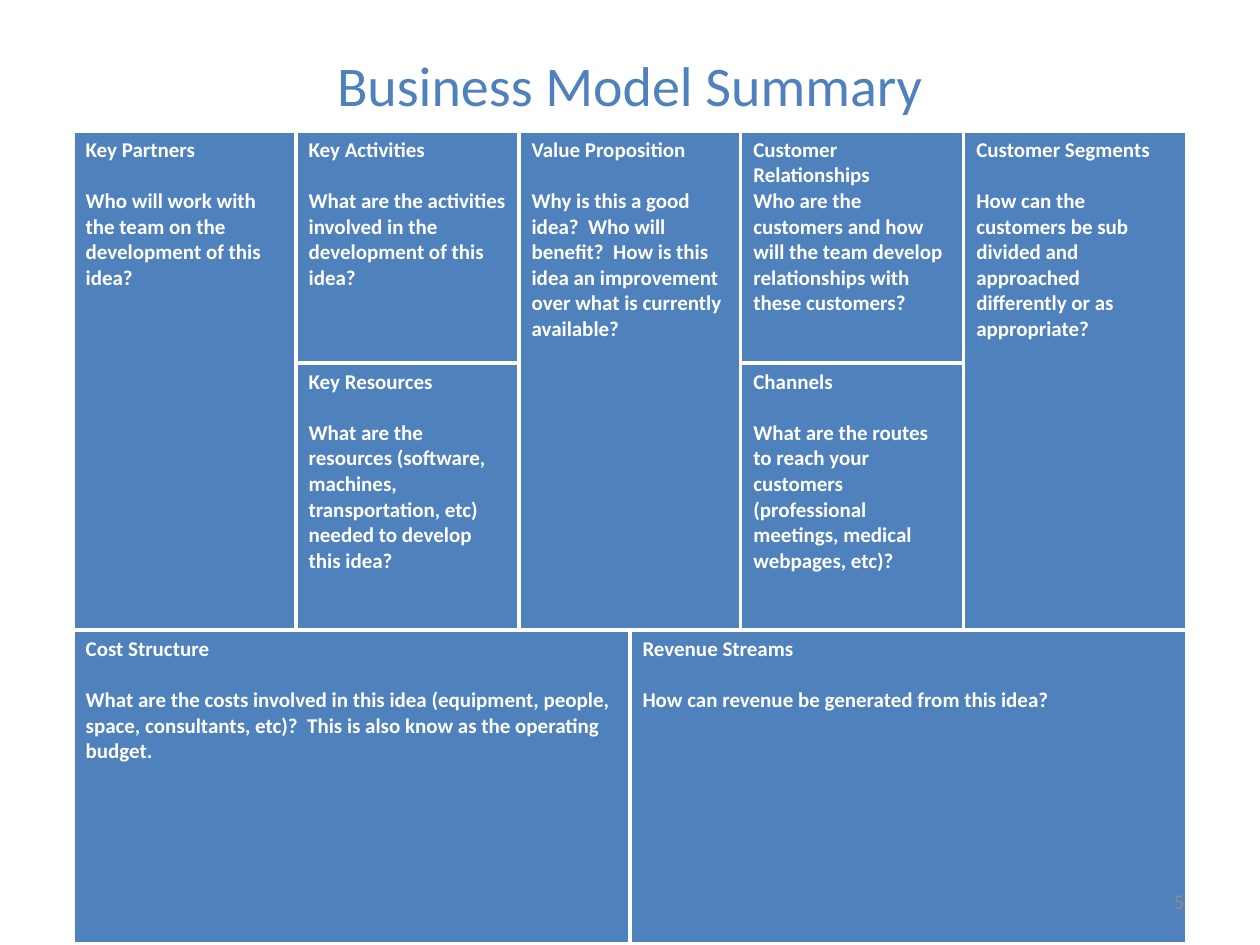
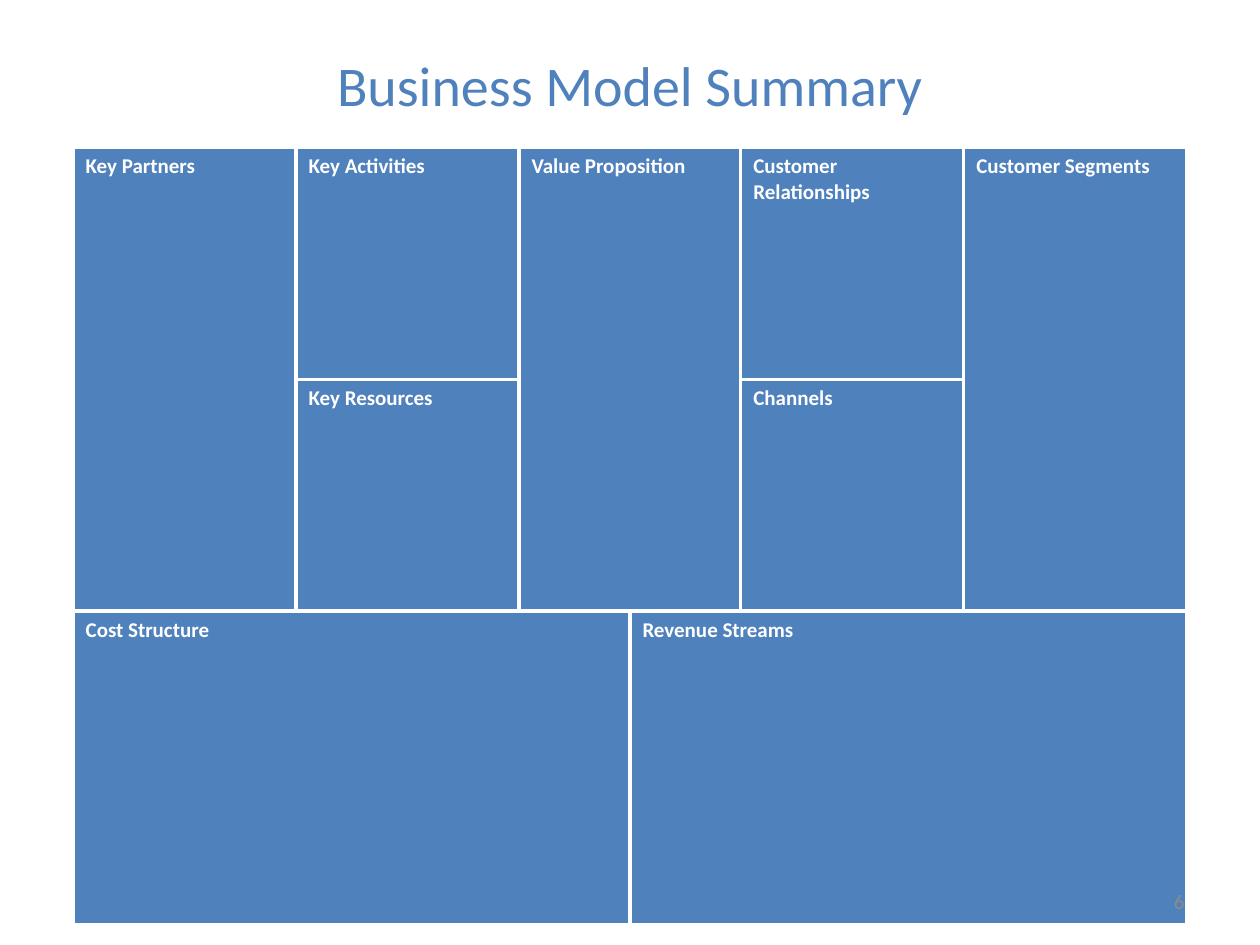
import pptx
import pptx.dml.color
import pptx.enum.text
import pptx.oxml
import pptx.oxml.ns
import pptx.util

Inches = pptx.util.Inches
Pt = pptx.util.Pt
RGBColor = pptx.dml.color.RGBColor
PP_ALIGN = pptx.enum.text.PP_ALIGN
MSO_ANCHOR = pptx.enum.text.MSO_ANCHOR

BLUE = RGBColor(0x4F, 0x81, 0xBD)
WHITE = RGBColor(0xFF, 0xFF, 0xFF)
GREY = RGBColor(0x8C, 0x8C, 0x8C)

TITLE_FONT = {"name": "Calibri", "size": Pt(32), "color": BLUE}
CELL_FONT = {"name": "Calibri", "size": Pt(12), "bold": True, "color": WHITE}
NUMBER_FONT = {"name": "Calibri", "size": Pt(12), "color": GREY}

BORDER_WIDTH = Pt(2.25)
LINE_GAP = Pt(14.65)
TABLE_LEFT = 0.58
WIDE, HALF = 1.77, 0.88
COLUMNS = [WIDE, WIDE, HALF, HALF, WIDE, WIDE]

BLOCKS = [
    (0, 0, 2, 1, "Key Partners"),
    (0, 1, 1, 1, "Key Activities"),
    (0, 2, 2, 2, "Value Proposition"),
    (0, 4, 1, 1, "Customer Relationships"),
    (0, 5, 2, 1, "Customer Segments"),
    (1, 1, 1, 1, "Key Resources"),
    (1, 4, 1, 1, "Channels"),
    (2, 0, 1, 3, "Cost Structure"),
    (2, 3, 1, 3, "Revenue Streams"),
]

QUESTIONS = {
    "Key Partners": "Who will work with the team on the development of this idea?",
    "Key Activities": "What are the activities involved in the development of this idea?",
    "Value Proposition": "Why is this a good idea?  Who will benefit?  How is this idea "
                         "an improvement over what is currently available?",
    "Customer Relationships": "Who are the customers and how will the team develop "
                              "relationships with these customers?",
    "Customer Segments": "How can the customers be sub divided and approached "
                         "differently or as appropriate?",
    "Key Resources": "What are the resources (software, machines, transportation, etc) "
                     "needed to develop this idea?",
    "Channels": "What are the routes to reach your customers (professional meetings, "
                "medical webpages, etc)?",
    "Cost Structure": "What are the costs involved in this idea (equipment, people, space, "
                      "consultants, etc)?  This is also know as the operating budget.",
    "Revenue Streams": "How can revenue be generated from this idea?",
}
TWO_LINE_HEADING = "Customer Relationships"

SLIDES = [
    {"number": 5, "top": 1.04, "rows": [1.84, 2.12, 2.49], "questions": QUESTIONS},
    {"number": 6, "top": 1.17, "rows": [1.84, 1.84, 2.49], "questions": {}},
]


def write(p, text, font, align=PP_ALIGN.LEFT):
    """Write one formatted run into a paragraph."""
    p.alignment = align
    r = p.add_run()
    r.text = text
    for key, value in font.items():
        if key == "color":
            r.font.color.rgb = value
        else:
            setattr(r.font, key, value)


def place(sp, left, top, width, height):
    """Set the position and size of a shape in inches."""
    box = {"left": left, "top": top, "width": width, "height": height}
    for key, value in box.items():
        setattr(sp, key, Inches(value))


def add_title(s, text):
    """Fill the title placeholder."""
    sp = s.shapes.title
    place(sp, 0.5, 0.04, 9, 1.25)
    tf = sp.text_frame
    tf.vertical_anchor = MSO_ANCHOR.MIDDLE
    write(tf.paragraphs[0], text, TITLE_FONT, PP_ALIGN.CENTER)


def add_number(s, number):
    """Add the slide number at the lower right."""
    sp = s.shapes.add_textbox(Inches(7.17), Inches(6.95), Inches(2.33), Inches(0.4))
    tf = sp.text_frame
    tf.word_wrap = True
    tf.vertical_anchor = MSO_ANCHOR.MIDDLE
    write(tf.paragraphs[0], str(number), NUMBER_FONT, PP_ALIGN.RIGHT)


def style_cell(cell):
    """Give a cell white borders and a blue fill."""
    tc_pr = cell._tc.get_or_add_tcPr()
    for side in ("lnL", "lnR", "lnT", "lnB"):
        tc_pr.append(pptx.oxml.parse_xml(
            f'<a:{side} {pptx.oxml.ns.nsdecls("a")} w="{BORDER_WIDTH}">'
            f'<a:solidFill><a:srgbClr val="{WHITE}"/></a:solidFill></a:{side}>'))
    cell.fill.solid()
    cell.fill.fore_color.rgb = BLUE


def fill_block(table, block, questions):
    """Merge the cells of a block and write its heading and question."""
    row, col, height, width, heading = block
    cell = table.cell(row, col)
    if height * width > 1:
        cell.merge(table.cell(row + height - 1, col + width - 1))
    tf = cell.text_frame
    write(tf.paragraphs[0], heading, CELL_FONT)
    if heading in questions:
        p = tf.add_paragraph()
        p.space_before = Pt(0) if heading == TWO_LINE_HEADING else LINE_GAP
        write(p, questions[heading], CELL_FONT)


def add_canvas(s, top, rows, questions):
    """Add the business model table."""
    frame = s.shapes.add_table(len(rows), len(COLUMNS), Inches(TABLE_LEFT), Inches(top),
                               Inches(sum(COLUMNS)), Inches(sum(rows)))
    table = frame.table
    table.first_row = False
    table.horz_banding = False
    for column, width in zip(table.columns, COLUMNS):
        column.width = Inches(width)
    for row, height in zip(table.rows, rows):
        row.height = Inches(height)
    for cell in table.iter_cells():
        style_cell(cell)
    for block in BLOCKS:
        fill_block(table, block, questions)


def main():
    """Build and save the presentation."""
    prs = pptx.Presentation()
    prs.slide_width = Inches(10)
    prs.slide_height = Inches(7.5)
    for content in SLIDES:
        s = prs.slides.add_slide(prs.slide_layouts[5])
        add_title(s, "Business Model Summary")
        add_canvas(s, content["top"], content["rows"], content["questions"])
        add_number(s, content["number"])
    prs.save("out.pptx")


main()
